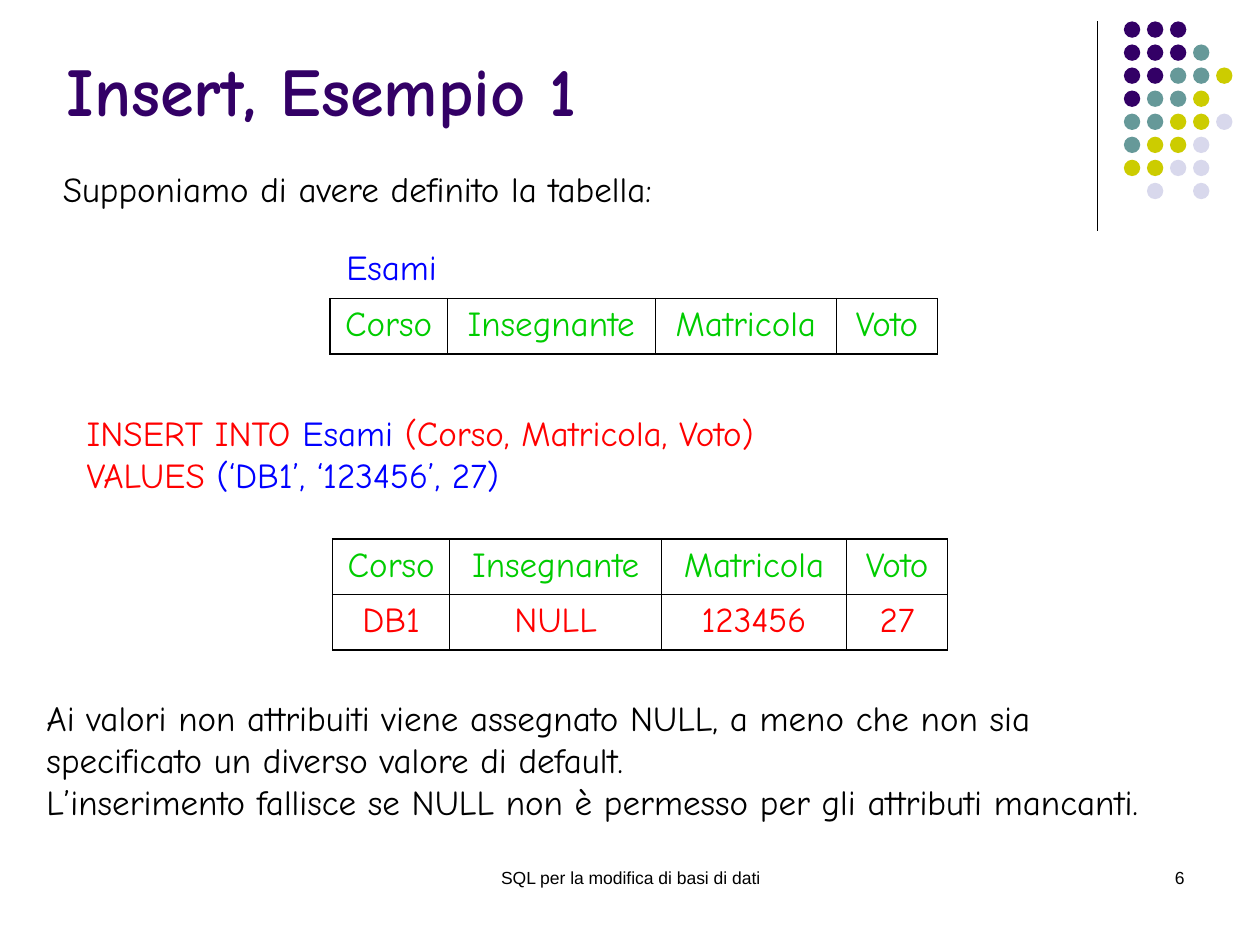
from lxml.etree import SubElement
from pptx import Presentation
from pptx.dml.color import RGBColor
from pptx.enum.shapes import MSO_CONNECTOR, MSO_SHAPE
from pptx.enum.text import MSO_ANCHOR, PP_ALIGN
from pptx.oxml.ns import qn
from pptx.util import Inches, Pt

COLORS = {
    "black": "000000",
    "purple": "330066",
    "teal": "669999",
    "olive": "CCCC00",
    "lavender": "D8D8EC",
    "red": "FF0000",
    "blue": "0000FF",
    "green": "00CC00",
}
BODY = {"name": "Comic Neue", "size": Pt(20)}
TITLE = {"name": "Comic Neue", "size": Pt(39), "bold": True}
FOOTER = {"name": "Arial", "size": Pt(10)}
DOT_ROWS = ["PPP", "PPPT", "PPTTO", "PTTO", "TTOOL", "TOOL", "OOLL", " L L"]
DOT_COLORS = {"P": "purple", "T": "teal", "O": "olive", "L": "lavender"}
HEADER = ["Corso", "Insegnante", "Matricola", "Voto"]


def rgb(color):
    return RGBColor.from_string(COLORS[color])


class SlideBuilder:
    outer, inner = 1.08, 0.45

    def __init__(self, s):
        self.s = s

    def run(self, p, text, color, style):
        r = p.add_run()
        r.text = text
        for key, value in style.items():
            setattr(r.font, key, value)
        r.font.color.rgb = rgb(color)

    def text(self, box, paragraphs, style=BODY, wrap=True,
             align=PP_ALIGN.LEFT, anchor=MSO_ANCHOR.TOP):
        tf = self.s.shapes.add_textbox(*map(Inches, box)).text_frame
        tf.word_wrap = wrap
        tf.vertical_anchor = anchor
        for i, lines in enumerate(paragraphs):
            p = tf.add_paragraph() if i else tf.paragraphs[0]
            p.alignment = align
            for j, runs in enumerate(lines):
                if j:
                    p.add_line_break()
                for text, color in runs:
                    self.run(p, text, color, style)

    def line(self, x1, y1, x2, y2):
        sp = self.s.shapes.add_connector(
            MSO_CONNECTOR.STRAIGHT, *map(Inches, (x1, y1, x2, y2)))
        sp.line.color.rgb = rgb("black")
        sp.line.width = Pt(0.75)
        SubElement(sp._element.spPr, qn("a:effectLst"))

    def dot(self, x, y, size, color):
        sp = self.s.shapes.add_shape(
            MSO_SHAPE.OVAL, *map(Inches, (x, y, size, size)))
        sp.shadow.inherit = False
        sp.fill.solid()
        sp.fill.fore_color.rgb = rgb(color)
        sp.line.fill.background()

    def borders(self, cell, widths):
        tc_pr = cell._tc.get_or_add_tcPr()
        for side, width in zip("LRTB", widths):
            ln = SubElement(tc_pr, qn(f"a:ln{side}"), w=str(Pt(width)))
            fill = SubElement(ln, qn("a:solidFill"))
            SubElement(fill, qn("a:srgbClr"), val=COLORS["black"])

    def table(self, x, y, col_widths, rows, row_height=0.44):
        n_rows, n_cols = len(rows), len(col_widths)
        size = (x, y, sum(col_widths), row_height * n_rows)
        table = self.s.shapes.add_table(
            n_rows, n_cols, *map(Inches, size)).table
        table.first_row = table.horz_banding = False
        for col, width in zip(table.columns, col_widths):
            col.width = Inches(width)
        for i, (color, values) in enumerate(rows):
            for j, value in enumerate(values):
                cell = table.cell(i, j)
                edges = (j == 0, j == n_cols - 1, i == 0, i == n_rows - 1)
                self.borders(cell, [self.outer if e else self.inner
                                    for e in edges])
                cell.fill.background()
                p = cell.text_frame.paragraphs[0]
                p.alignment = PP_ALIGN.CENTER
                p.space_before = Pt(5)
                self.run(p, value, color, BODY)


def main():
    prs = Presentation()
    prs.slide_width, prs.slide_height = Inches(10), Inches(7.5)
    b = SlideBuilder(prs.slides.add_slide(prs.slide_layouts[6]))

    b.line(8.71, 0.17, 8.71, 1.83)
    pitch = 0.183
    for i, row in enumerate(DOT_ROWS):
        for j, key in enumerate(row):
            if key in DOT_COLORS:
                b.dot(8.92 + j * pitch, 0.17 + i * pitch, 0.13,
                      DOT_COLORS[key])

    b.text((0.43, 0.21, 8.25, 0.87), [[[("Insert, Esempio 1", "purple")]]],
           TITLE, anchor=MSO_ANCHOR.BOTTOM)
    b.text((0.4, 1.28, 4.9, 0.44),
           [[[("Supponiamo di avere definito la tabella:", "black")]]],
           wrap=False)
    b.text((2.65, 1.9, 0.92, 0.44), [[[("Esami", "blue")]]], wrap=False)
    b.table(2.62, 2.37, [0.93, 1.65, 1.44, 0.8], [("green", HEADER)])
    b.text((0.59, 3.22, 5.54, 0.77), [[
        [("INSERT INTO", "red"), (" Esami ", "blue"),
         ("(Corso, Matricola, Voto)", "red")],
        [("VALUES", "red"), (" (‘DB1’, ‘123456’, 27)", "blue")],
    ]], wrap=False)
    b.table(2.64, 4.28, [0.93, 1.68, 1.47, 0.8],
            [("green", HEADER), ("red", ["DB1", "NULL", "123456", "27"])])
    b.text((0.27, 5.48, 9.21, 1.1), [
        [[("Ai valori non attribuiti viene assegnato NULL, a meno che non sia "
           "specificato un diverso valore di default.", "black")]],
        [[("L’inserimento fallisce se NULL non è permesso per gli attributi "
           "mancanti.", "black")]],
    ])
    b.text((3.42, 6.83, 3.17, 0.5),
           [[[("SQL per la modifica di basi di dati", "black")]]],
           FOOTER, align=PP_ALIGN.CENTER)
    b.text((7.17, 6.83, 2.33, 0.5), [[[("6", "black")]]],
           FOOTER, align=PP_ALIGN.RIGHT)

    prs.save("out.pptx")


if __name__ == "__main__":
    main()
